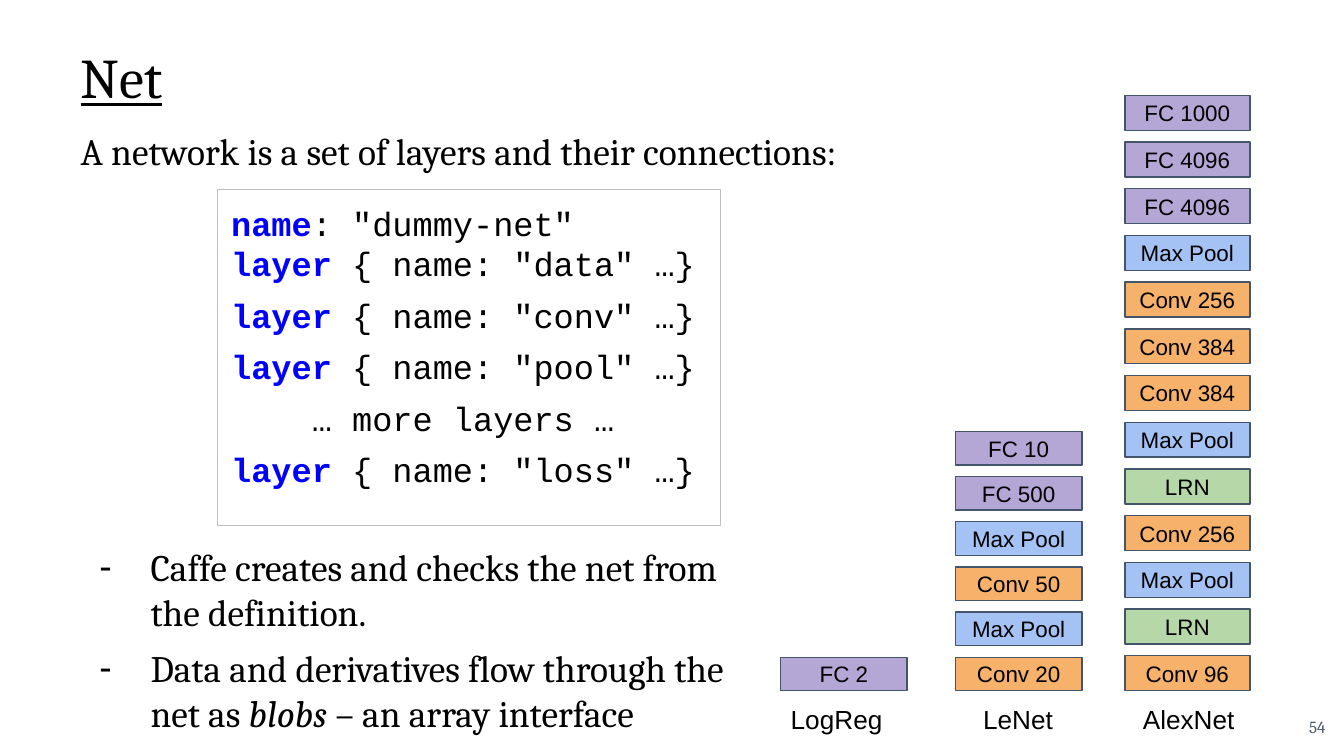
import lxml.etree
import pptx
import pptx.dml.color
import pptx.enum.shapes
import pptx.enum.text
import pptx.oxml.ns
import pptx.util

Inches = pptx.util.Inches
Pt = pptx.util.Pt
RGBColor = pptx.dml.color.RGBColor
ALIGN = pptx.enum.text.PP_ALIGN
ANCHOR = pptx.enum.text.MSO_ANCHOR

BLACK = RGBColor(0x00, 0x00, 0x00)
KEYWORD = RGBColor(0x00, 0x00, 0xFF)
SLATE = RGBColor(0x44, 0x54, 0x6A)
GREY = RGBColor(0xBF, 0xBF, 0xBF)
PURPLE = RGBColor(0xB4, 0xA7, 0xD6)
BLUE = RGBColor(0xA4, 0xC2, 0xF4)
ORANGE = RGBColor(0xF6, 0xB2, 0x6B)
GREEN = RGBColor(0xB6, 0xD7, 0xA8)
LAYER_FILLS = {"FC": PURPLE, "Max": BLUE, "Conv": ORANGE, "LRN": GREEN}

NETS = [
    ("AlexNet", 8.28, 8.37, 0.71, 4.88, 0.93, 0.26,
     ["FC 1000", "FC 4096", "FC 4096", "Max Pool", "Conv 256", "Conv 384",
      "Conv 384", "Max Pool", "LRN", "Conv 256", "Max Pool", "LRN", "Conv 96"]),
    ("LeNet", 7.01, 7.11, 3.21, 4.89, 0.94, 0.25,
     ["FC 10", "FC 500", "Max Pool", "Conv 50", "Max Pool", "Conv 20"]),
    ("LogReg", 5.66, 5.81, 4.89, 4.89, 0.94, 0.25, ["FC 2"]),
]


def add_run(p, text, size=20, font="Cambria", color=BLACK, bold=False,
            italic=False, underline=False):
    """Append a formatted run to a paragraph."""
    r = p.add_run()
    r.text = text
    r.font.size = Pt(size)
    r.font.name = font
    r.font.color.rgb = color
    r.font.bold = bold
    r.font.italic = italic
    r.font.underline = underline


def set_frame(s, anchor=ANCHOR.TOP, wrap=True):
    """Set the margins, anchor and wrapping of a shape's text frame."""
    tf = s.text_frame
    tf.auto_size = pptx.enum.text.MSO_AUTO_SIZE.NONE
    tf.word_wrap = wrap
    tf.vertical_anchor = anchor
    tf.margin_left = tf.margin_right = Inches(0.1)
    tf.margin_top = tf.margin_bottom = Inches(0.1)
    return tf


def place(s, left, top, width, height):
    """Move and size a placeholder."""
    s.left, s.top = Inches(left), Inches(top)
    s.width, s.height = Inches(width), Inches(height)


def set_bullet(p, char=None):
    """Give a paragraph a hanging bullet, or none."""
    pPr = p._p.get_or_add_pPr()
    pPr.set("marL", str(Inches(0.5) if char else 0))
    pPr.set("indent", str(Inches(-0.38) if char else 0))
    qn = pptx.oxml.ns.qn
    if char:
        clr = lxml.etree.SubElement(pPr, qn("a:buClr"))
        lxml.etree.SubElement(clr, qn("a:srgbClr")).set("val", str(BLACK))
        lxml.etree.SubElement(pPr, qn("a:buChar")).set("char", char)
    else:
        lxml.etree.SubElement(pPr, qn("a:buNone"))


def fill_body(s, paragraphs, bullet=None, before=(0,)):
    """Write paragraphs of (text, format) runs into a body placeholder."""
    tf = set_frame(s)
    for i, (runs, space) in enumerate(zip(paragraphs, before)):
        p = tf.add_paragraph() if i else tf.paragraphs[0]
        set_bullet(p, bullet)
        p.alignment = ALIGN.LEFT
        p.space_before = Pt(space)
        for text, fmt in runs:
            add_run(p, text, **fmt)


def add_label(shapes, text, left, top, width, height, align=ALIGN.CENTER, **fmt):
    """Add a text box with one vertically centred line."""
    s = shapes.add_textbox(Inches(left), Inches(top), Inches(width), Inches(height))
    p = set_frame(s, ANCHOR.MIDDLE).paragraphs[0]
    p.alignment = align
    add_run(p, text, **fmt)


def add_layer(shapes, text, left, top, width, height):
    """Add one network layer tile coloured by its type."""
    s = shapes.add_shape(pptx.enum.shapes.MSO_SHAPE.RECTANGLE, Inches(left),
                         Inches(top), Inches(width), Inches(height))
    s.shadow.inherit = False
    s.fill.solid()
    s.fill.fore_color.rgb = LAYER_FILLS[text.split()[0]]
    s.line.color.rgb = SLATE
    s.line.width = Pt(0.75)
    p = set_frame(s, ANCHOR.MIDDLE, wrap=False).paragraphs[0]
    p.alignment = ALIGN.CENTER
    add_run(p, text, size=12, font="Arial")


def add_net(slide, name, label_left, left, first, last, width, height, layers):
    """Add a grouped stack of evenly spaced layers with its name below."""
    shapes = slide.shapes.add_group_shape().shapes
    add_label(shapes, name, label_left, 5.07, 1.13, 0.56, size=14, font="Arial")
    step = (last - first) / max(len(layers) - 1, 1)
    for i, layer in enumerate(layers):
        add_layer(shapes, layer, left, first + i * step, width, height)


def add_code(s):
    """Fill the bordered network definition."""
    place(s, 1.62, 1.41, 3.74, 2.5)
    s.line.color.rgb = GREY
    s.line.width = Pt(0.75)
    plain = {"size": 18, "font": "Courier New"}
    key = {**plain, "color": KEYWORD, "bold": True}
    rows = [[("layer ", key), (f'{{ name: "{name}" …}}', plain)]
            for name in ("data", "conv", "pool", "loss")]
    rows.insert(0, [("name", key), (': "dummy-net"', plain)])
    rows.insert(4, [("    … more layers …", plain)])
    fill_body(s, rows, before=(0, 0, 6, 6, 6, 6))


def main():
    """Build the slide and save it."""
    prs = pptx.Presentation()
    prs.slide_width = Inches(10)
    prs.slide_height = prs.slide_width * 9 // 16
    slide = prs.slides.add_slide(prs.slide_layouts.get_by_name("Comparison"))
    title, lead, code, points, spare = slide.placeholders
    spare.element.getparent().remove(spare.element)

    place(title, 0.5, -0.02, 9, 0.94)
    p = set_frame(title, ANCHOR.BOTTOM).paragraphs[0]
    p.alignment = ALIGN.LEFT
    add_run(p, "Net", size=30, underline=True)

    add_code(code)
    place(lead, 0.5, 0.85, 6.17, 1.18)
    fill_body(lead, [[("A network is a set of layers and their connections:", {})]])
    place(points, 0.52, 3.95, 5.03, 1.59)
    fill_body(points, [
        [("Caffe creates and checks the net from the definition.", {})],
        [("Data and derivatives flow through the net as ", {}),
         ("blobs", {"italic": True}), (" – an array interface", {})],
    ], bullet="‑", before=(0, 6))

    for net in NETS:
        add_net(slide, *net)
    add_label(slide.shapes, "54", 9.36, 5.19, 0.6, 0.43, align=ALIGN.RIGHT,
              size=9, color=SLATE)
    prs.save("out.pptx")


if __name__ == "__main__":
    main()
